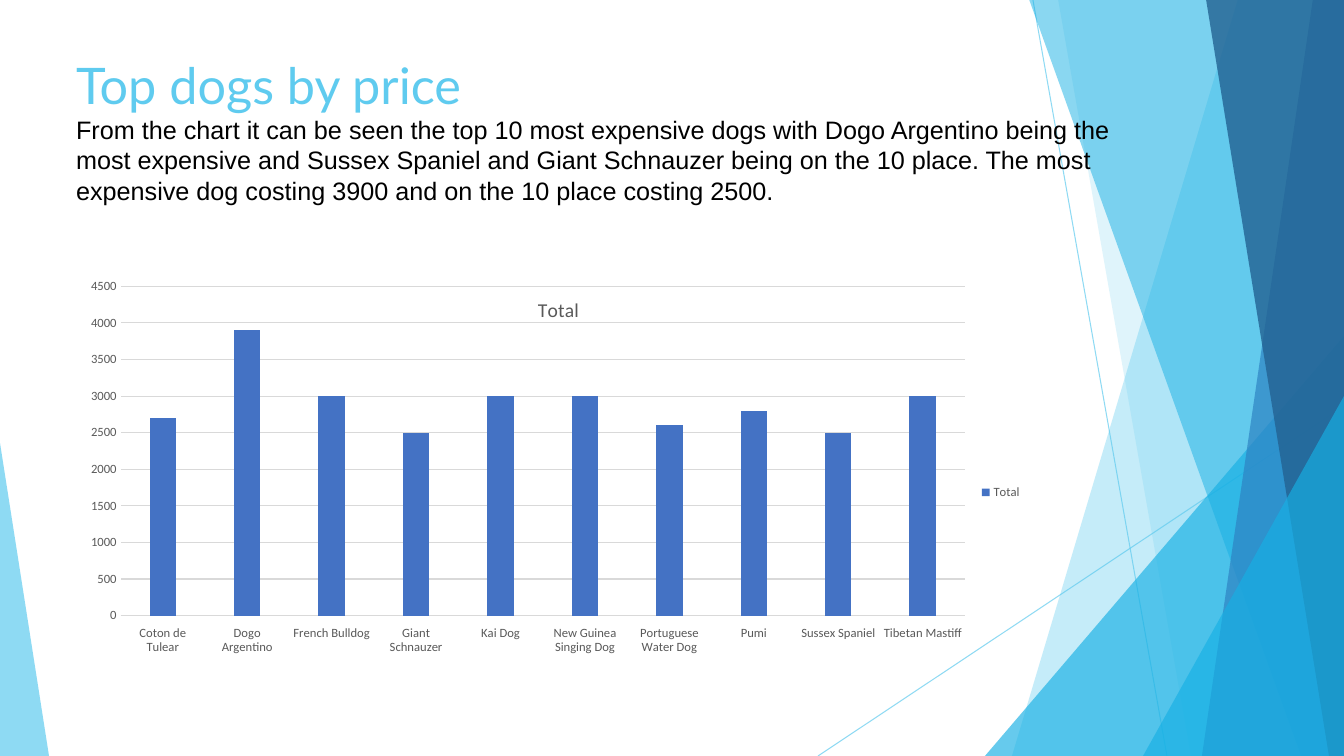
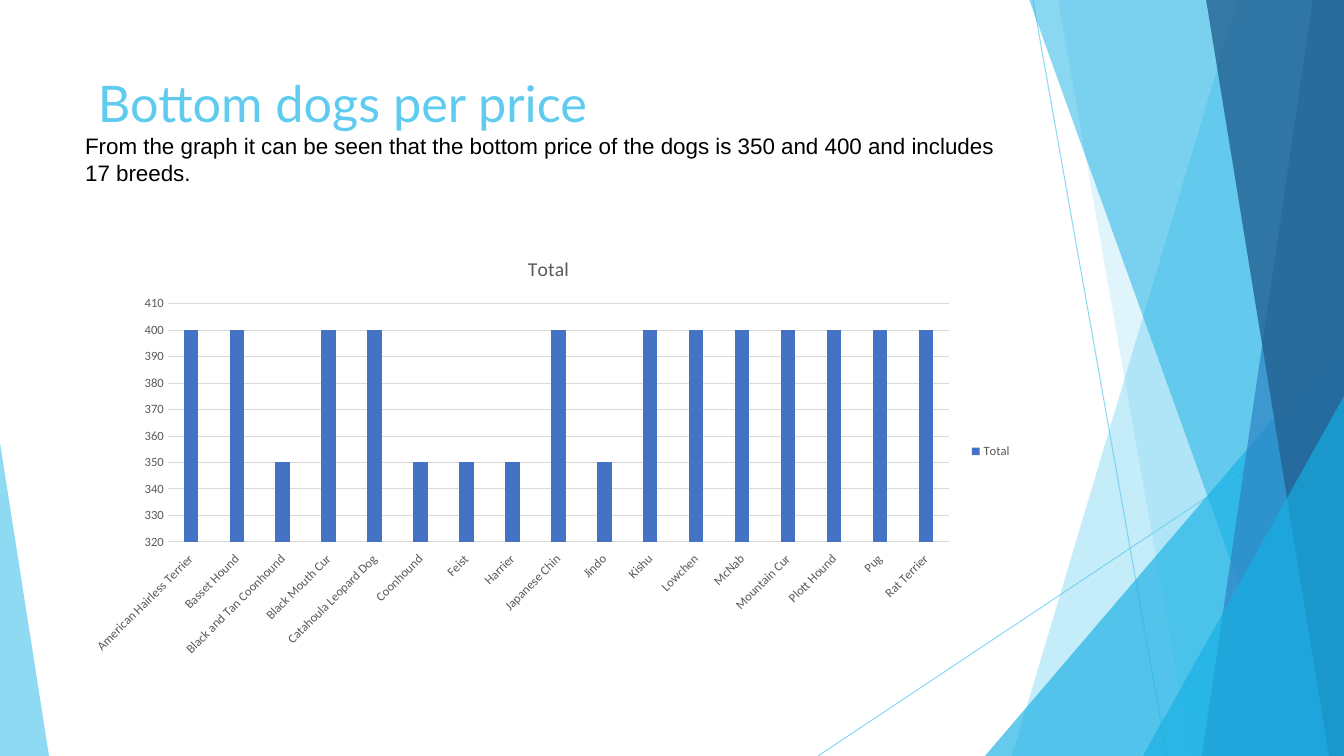
import copy

import lxml.etree
import pptx
import pptx.chart.data
import pptx.dml.color
import pptx.enum.chart
import pptx.enum.shapes
import pptx.enum.text
import pptx.oxml
import pptx.oxml.ns
import pptx.util

SCALE = 914400 / 100.8
WIDTH, HEIGHT = 1344, 756
TITLE_ONLY = 5

SKY, CYAN, BLUE, NAVY = "5FCBEF", "17B0E4", "2E83C3", "236292"
BLACK, GREY, GRID, BAR = "000000", "595959", "D9D9D9", "4472C4"

# Each facet: colour, opacity in percent, corner points
FACETS = [
    (SKY, 36, [(1238, -1), (WIDTH, -1), (WIDTH, HEIGHT), (1012, HEIGHT)]),
    (SKY, 20, [(1058, -1), (WIDTH, -1), (WIDTH, HEIGHT), (1191, HEIGHT)]),
    (CYAN, 66, [(985, HEIGHT), (WIDTH, 336), (WIDTH, HEIGHT)]),
    (CYAN, 50, [(1029, -1), (WIDTH, -1), (WIDTH, HEIGHT), (1301, HEIGHT)]),
    (BLUE, 70, [(1313, -1), (WIDTH, -1), (WIDTH, HEIGHT), (1202, HEIGHT)]),
    (NAVY, 80, [(1206, -1), (WIDTH, -1), (WIDTH, HEIGHT), (1329, HEIGHT)]),
    (CYAN, 66, [(1143, HEIGHT), (WIDTH, 396), (WIDTH, HEIGHT)]),
    (SKY, 70, [(0, HEIGHT), (0, 443), (49, HEIGHT)]),
]
RAYS = [(1033, 0, 1167, HEIGHT), (WIDTH, 406, 818, HEIGHT)]

TOP_PRICES = {
    "Coton de Tulear": 2700, "Dogo Argentino": 3900, "French Bulldog": 3000,
    "Giant Schnauzer": 2500, "Kai Dog": 3000, "New Guinea Singing Dog": 3000,
    "Portuguese Water Dog": 2600, "Pumi": 2800, "Sussex Spaniel": 2500,
    "Tibetan Mastiff": 3000,
}
BOTTOM_PRICES = {
    "American Hairless Terrier": 400, "Basset Hound": 400,
    "Black and Tan Coonhound": 350, "Black Mouth Cur": 400,
    "Catahoula Leopard Dog": 400, "Coonhound": 350, "Feist": 350,
    "Harrier": 350, "Japanese Chin": 400, "Jindo": 350, "Kishu": 400,
    "Lowchen": 400, "McNab": 400, "Mountain Cur": 400, "Plott Hound": 400,
    "Pug": 400, "Rat Terrier": 400,
}


def px(value):
    """Turn pixels into EMU."""
    return pptx.util.Emu(round(value * SCALE))


def rgb(color):
    """Turn a hex string into a colour."""
    return pptx.dml.color.RGBColor.from_string(color)


def find(element, tag):
    """Find the first descendant with a prefixed tag."""
    return element.find(".//" + pptx.oxml.ns.qn(tag))


def set_font(font, size, color, name="Calibri"):
    """Give a font its size, colour and name."""
    font.size = pptx.util.Pt(size)
    font.color.rgb = rgb(color)
    font.name = name
    font.bold = False


def set_opacity(shape, percent):
    """Make the solid colour in a shape's properties see-through."""
    color = find(shape.element.spPr, "a:srgbClr")
    alpha = lxml.etree.SubElement(color, pptx.oxml.ns.qn("a:alpha"))
    alpha.set("val", str(percent * 1000))


def set_line(line, color):
    """Style a thin line."""
    line.color.rgb = rgb(color)
    line.width = pptx.util.Pt(0.74)


class Deck:
    """Holds the presentation, its style and the current slide."""

    def __init__(self):
        """Start an empty wide presentation."""
        self.presentation = pptx.Presentation()
        self.presentation.slide_width = px(WIDTH)
        self.presentation.slide_height = px(HEIGHT)
        self.layout = self.presentation.slide_layouts[TITLE_ONLY]
        self.slide = None

    def add_slide(self):
        """Add a slide and make it current."""
        self.slide = self.presentation.slides.add_slide(self.layout)

    def ray(self, x1, y1, x2, y2):
        """Draw a thin translucent line."""
        connector = self.slide.shapes.add_connector(
            pptx.enum.shapes.MSO_CONNECTOR.STRAIGHT, px(x1), px(y1), px(x2), px(y2))
        set_line(connector.line, SKY)
        set_opacity(connector, 70)
        lxml.etree.SubElement(connector.element.spPr, pptx.oxml.ns.qn("a:effectLst"))
        return connector

    def facet(self, color, opacity, points):
        """Draw a translucent polygon."""
        builder = self.slide.shapes.build_freeform(*points[0], scale=SCALE)
        builder.add_line_segments(points[1:], close=True)
        shape = builder.convert_to_shape()
        shape.shadow.inherit = False
        shape.fill.solid()
        shape.fill.fore_color.rgb = rgb(color)
        shape.line.fill.background()
        set_opacity(shape, opacity)
        return shape

    def decorate_layout(self):
        """Draw the rays and facets, then move them to the shared layout."""
        shapes = [self.ray(*ray) for ray in RAYS]
        shapes += [self.facet(*facet) for facet in FACETS]
        for shape in shapes:
            self.layout.shapes.element.append(shape.element)

    def title(self, box, heading, body, body_size):
        """Fill the title with a heading and a smaller text below it."""
        title = self.slide.shapes.title
        title.left, title.top, title.width, title.height = map(px, box)
        frame = title.text_frame
        frame.auto_size = pptx.enum.text.MSO_AUTO_SIZE.NONE
        frame.vertical_anchor = pptx.enum.text.MSO_ANCHOR.TOP
        frame.word_wrap = True
        paragraph = frame.paragraphs[0]
        paragraph.text = heading + "\n" + body
        paragraph.alignment = pptx.enum.text.PP_ALIGN.LEFT
        heading_run, body_run = paragraph.runs
        set_font(heading_run.font, 36, SKY, "Lato")
        set_font(body_run.font, body_size, BLACK, "Arial")
        properties = find(title.element, "a:rPr")
        find(title.element, "a:br").append(copy.deepcopy(properties))

    def column_chart(self, box, prices, value_range, step, rotation=0, plot_box=None):
        """Add a column chart of prices by breed."""
        data = pptx.chart.data.CategoryChartData()
        data.categories = list(prices)
        data.add_series("Total", list(prices.values()))
        chart = self.slide.shapes.add_chart(
            pptx.enum.chart.XL_CHART_TYPE.COLUMN_CLUSTERED, *map(px, box), data).chart
        set_font(chart.font, 10, BLACK, "Arial")
        chart.has_title = True
        chart.chart_title.include_in_layout = False
        chart.chart_title.text_frame.text = "Total"
        set_font(chart.chart_title.text_frame.paragraphs[0].runs[0].font, 14, GREY)
        chart.has_legend = True
        chart.legend.position = pptx.enum.chart.XL_LEGEND_POSITION.RIGHT
        chart.legend.include_in_layout = False
        set_font(chart.legend.font, 9, GREY)

        plot = chart.plots[0]
        plot.gap_width, plot.overlap = 219, -27
        plot.vary_by_categories = False
        fill = plot.series[0].format.fill
        fill.solid()
        fill.fore_color.rgb = rgb(BAR)

        category_axis, value_axis = chart.category_axis, chart.value_axis
        for axis in (category_axis, value_axis):
            axis.major_tick_mark = pptx.enum.chart.XL_TICK_MARK.NONE
            axis.minor_tick_mark = pptx.enum.chart.XL_TICK_MARK.NONE
            set_font(axis.tick_labels.font, 9, GREY)
        category_axis.tick_label_position = pptx.enum.chart.XL_TICK_LABEL_POSITION.LOW
        set_line(category_axis.format.line, GRID)
        label_body = find(find(chart.element, "c:catAx"), "a:bodyPr")
        label_body.set("rot", str(rotation * 60000))
        label_body.set("vert", "horz")
        value_axis.minimum_scale, value_axis.maximum_scale = value_range
        value_axis.major_unit = step
        value_axis.format.line.fill.background()
        set_line(value_axis.major_gridlines.format.line, GRID)
        self.clear_background(chart)
        if plot_box:
            self.place_plot(chart, plot_box, box)

    def clear_background(self, chart):
        """Let the slide show through the chart."""
        namespaces = pptx.oxml.ns.nsdecls("c", "a")
        find(chart.element, "c:chart").addnext(pptx.oxml.parse_xml(
            f"<c:spPr {namespaces}><a:noFill/><a:ln><a:noFill/></a:ln></c:spPr>"))

    def place_plot(self, chart, plot_box, chart_box):
        """Place the plot area, labels included, within the chart."""
        area = find(chart.element, "c:plotArea")
        for layout in area.findall(pptx.oxml.ns.qn("c:layout")):
            area.remove(layout)
        settings = [("layoutTarget", "outer"), ("xMode", "edge"), ("yMode", "edge")]
        for tag, length, whole in zip("xywh", plot_box, chart_box[2:] * 2):
            settings.append((tag, length / whole))
        children = "".join(f'<c:{tag} val="{value}"/>' for tag, value in settings)
        area.insert(0, pptx.oxml.parse_xml(
            f'<c:layout {pptx.oxml.ns.nsdecls("c")}>'
            f"<c:manualLayout>{children}</c:manualLayout></c:layout>"))


def main():
    """Build both slides and save them."""
    deck = Deck()

    deck.add_slide()
    deck.decorate_layout()
    deck.title(
        (66, 49, 1070, 223), "Top dogs by price",
        "From the chart it can be seen the top 10 most expensive dogs with Dogo "
        "Argentino being the most expensive and Sussex Spaniel and Giant Schnauzer "
        "being on the 10 place. The most expensive dog costing 3900 and on the 10 "
        "place costing 2500.", 18)
    deck.column_chart((85, 279, 947, 427), TOP_PRICES, (0, 4500), 500,
                      plot_box=(6, 0, 874, 376))

    deck.add_slide()
    deck.title(
        (75, 67, 947, 145), " Bottom dogs per price ",
        "From the graph it can be seen that the bottom price of the dogs is 350 "
        "and 400 and includes 17 breeds.", 16)
    deck.column_chart((75, 238, 947, 427), BOTTOM_PRICES, (320, 410), 10, rotation=-45)

    deck.presentation.save("out.pptx")


main()
